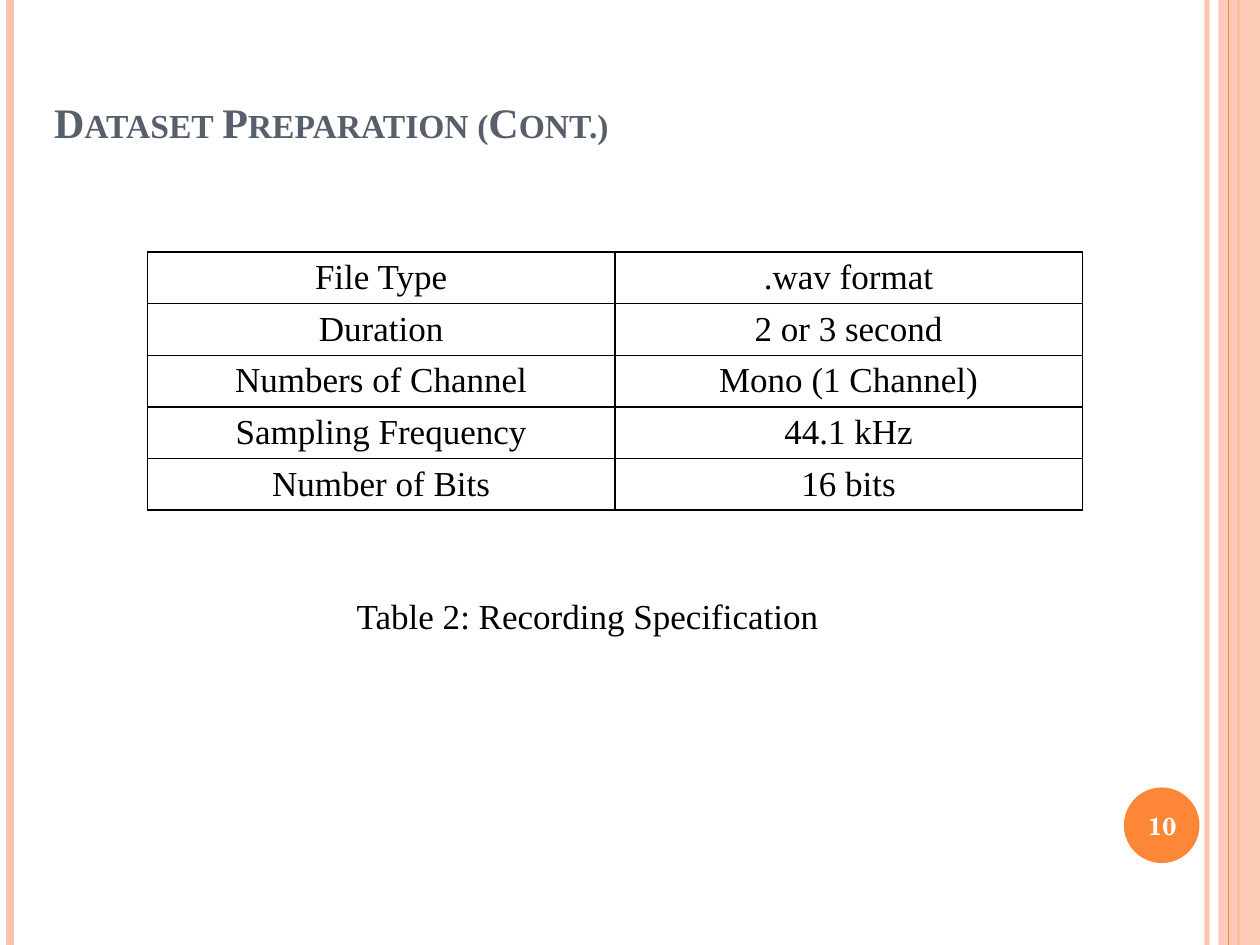
"""Build the recording specification slide."""
from lxml.etree import SubElement
from pptx import Presentation
from pptx.dml.color import RGBColor
from pptx.enum.shapes import MSO_CONNECTOR, MSO_SHAPE
from pptx.enum.text import MSO_ANCHOR, PP_ALIGN
from pptx.oxml.ns import qn
from pptx.util import Inches, Pt

COLORS = {"peach": "FEC3AE", "orange": "FE8637", "slate": "575F6D",
          "black": "000000", "white": "FFFFFF"}
FONT, NUMBER_FONT = "Times New Roman", "TeX Gyre Schola"
WIDTH, HEIGHT = 10, 7.5

TITLE = "Dataset Preparation (Cont.)"
CAPTION = "Table 2: Recording Specification"
PAGE = "10"
SPECS = [
    ("File Type", ".wav format"),
    ("Duration", "2 or 3 second"),
    ("Numbers of Channel", "Mono (1 Channel)"),
    ("Sampling Frequency", "44.1 kHz"),
    ("Number of Bits", "16 bits"),
]
TABLE_BOX = (1.17, 2, 7.42, 0.41 * len(SPECS))
BACK_STRIPES = [(9.58, "peach", 3, 93), (0.08, "peach", 4.5, 100), (9.83, "orange", 1.5, 100)]
FRONT_STRIPES = [(9.75, "orange", 0.75, 100)]


def rgb(name):
    return RGBColor.from_string(COLORS[name])


def set_alpha(sp, percent):
    if percent < 100:
        color = next(sp._element.spPr.iter(qn("a:srgbClr")))
        SubElement(color, qn("a:alpha"), val=str(percent * 1000))


def add_stripe(s, x, color, width, alpha):
    sp = s.shapes.add_connector(MSO_CONNECTOR.STRAIGHT, Inches(x), 0, Inches(x), Inches(HEIGHT))
    sp.line.color.rgb = rgb(color)
    sp.line.width = Pt(width)
    set_alpha(sp, alpha)
    SubElement(sp._element.spPr, qn("a:effectLst"))


def add_filled(s, kind, box, color, alpha=100):
    sp = s.shapes.add_shape(kind, *map(Inches, box))
    sp.shadow.inherit = False
    sp.fill.solid()
    sp.fill.fore_color.rgb = rgb(color)
    sp.line.fill.background()
    set_alpha(sp, alpha)


def write(tf, text, size, color="black", font=FONT, bold=False, align=PP_ALIGN.CENTER):
    p = tf.paragraphs[0]
    p.alignment = align
    r = p.add_run()
    r.text = text
    r.font.size, r.font.name, r.font.bold = Pt(size), font, bold
    r.font.color.rgb = rgb(color)
    return r


def add_text(s, box, anchor, *args, **kwargs):
    tf = s.shapes.add_textbox(*map(Inches, box)).text_frame
    tf.word_wrap = True
    tf.vertical_anchor = anchor
    write(tf, *args, **kwargs)


def add_borders(cell):
    tcPr = cell._tc.get_or_add_tcPr()
    for i, side in enumerate(("lnL", "lnR", "lnT", "lnB")):
        ln = tcPr.makeelement(qn(f"a:{side}"), {"w": str(Pt(1))})
        fill = SubElement(ln, qn("a:solidFill"))
        SubElement(fill, qn("a:srgbClr"), val=COLORS["black"])
        tcPr.insert(i, ln)


def add_specs(s):
    table = s.shapes.add_table(len(SPECS), 2, *map(Inches, TABLE_BOX)).table
    table.first_row = table.horz_banding = False
    for i, row in enumerate(SPECS):
        for j, text in enumerate(row):
            cell = table.cell(i, j)
            cell.fill.background()
            add_borders(cell)
            write(cell.text_frame, text, 20)


def add_title(s):
    sp = s.shapes.title
    sp.left, sp.top, sp.width, sp.height = map(Inches, (0.33, -0.03, 9.17, 1.25))
    sp.text_frame.vertical_anchor = MSO_ANCHOR.BOTTOM
    r = write(sp.text_frame, TITLE, 24, "slate", bold=True, align=PP_ALIGN.LEFT)
    r._r.get_or_add_rPr().set("cap", "small")


def main():
    prs = Presentation()
    prs.slide_width, prs.slide_height = Inches(WIDTH), Inches(HEIGHT)
    s = prs.slides.add_slide(prs.slide_layouts[5])
    for stripe in BACK_STRIPES:
        add_stripe(s, *stripe)
    add_filled(s, MSO_SHAPE.RECTANGLE, (9.67, 0, 0.33, HEIGHT), "peach", 87)
    for stripe in FRONT_STRIPES:
        add_stripe(s, *stripe)
    add_filled(s, MSO_SHAPE.OVAL, (8.92, 6.25, 0.6, 0.6), "orange")
    add_title(s)
    add_specs(s)
    add_text(s, (8.89, 6.27, 0.67, 0.57), MSO_ANCHOR.MIDDLE, PAGE, 14, "white",
             font=NUMBER_FONT, bold=True)
    add_text(s, (1.75, 4.67, 5.83, 0.44), MSO_ANCHOR.TOP, CAPTION, 20)
    prs.save("out.pptx")


if __name__ == "__main__":
    main()
